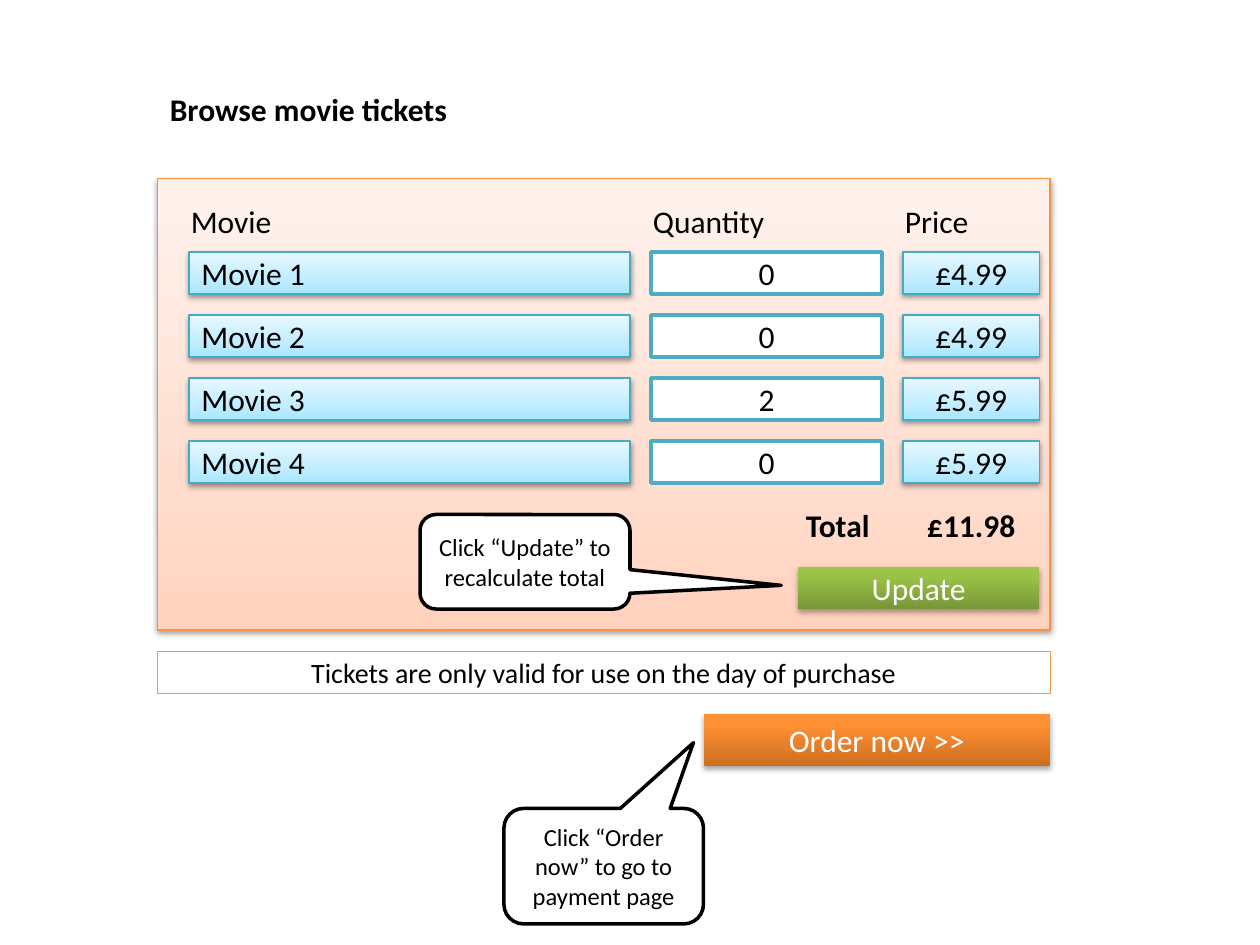
from lxml.etree import SubElement
from pptx import Presentation
from pptx.dml.color import RGBColor
from pptx.enum.shapes import MSO_SHAPE
from pptx.enum.text import MSO_ANCHOR, MSO_AUTO_SIZE, PP_ALIGN
from pptx.oxml.ns import qn
from pptx.util import Pt

BLACK = RGBColor(0, 0, 0)
WHITE = RGBColor(255, 255, 255)
ORANGE = RGBColor(0xF7, 0x96, 0x46)
PANEL_LINE = RGBColor(0xF6, 0x92, 0x40)
TEAL = RGBColor(0x4B, 0xAC, 0xC6)
CELL_LINE = RGBColor(0x46, 0xAA, 0xC5)
PEACH = [(0, RGBColor(0xFF, 0xD2, 0xBD)), (35, RGBColor(0xFF, 0xDE, 0xD0)), (100, RGBColor(0xFF, 0xF2, 0xED))]
SKY = [(0, RGBColor(0xA7, 0xE6, 0xFF)), (35, RGBColor(0xC1, 0xED, 0xFF)), (100, RGBColor(0xE7, 0xF8, 0xFF))]
GREEN = [(0, RGBColor(0x77, 0x97, 0x37)), (80, RGBColor(0x9B, 0xC3, 0x48)), (100, RGBColor(0x9D, 0xC7, 0x46))]
AMBER = [(0, RGBColor(0xCC, 0x6E, 0x20)), (80, RGBColor(0xFF, 0x90, 0x34)), (100, RGBColor(0xFF, 0x91, 0x36))]
LEFT, CENTER, RIGHT = PP_ALIGN.LEFT, PP_ALIGN.CENTER, PP_ALIGN.RIGHT


def add_gradient(sp, stops, alpha, dist):
    sp.fill.gradient()
    sp.fill.gradient_angle = 90
    gs_list = sp._element.spPr.find(qn("a:gradFill")).find(qn("a:gsLst"))
    for gs in list(gs_list):
        gs_list.remove(gs)
    for pos, color in stops:
        gs = SubElement(gs_list, qn("a:gs"), pos=str(pos * 1000))
        SubElement(gs, qn("a:srgbClr"), val=str(color))
    shadow = SubElement(sp._element.spPr.find(qn("a:effectLst")), qn("a:outerShdw"),
                        blurRad=str(Pt(3.15)), dist=str(Pt(dist)), dir="5400000", rotWithShape="0")
    color = SubElement(shadow, qn("a:srgbClr"), val="000000")
    SubElement(color, qn("a:alpha"), val=str(alpha * 1000))


def add_box(parent, text, x, y, w, h=24, shape=MSO_SHAPE.RECTANGLE, fill=None, stops=None, line=None,
            weight=0.75, size=18, color=BLACK, bold=False, align=CENTER, anchor=MSO_ANCHOR.MIDDLE, adj=()):
    frame = Pt(x), Pt(y), Pt(w), Pt(h)
    if fill is None and stops is None:
        sp = parent.shapes.add_textbox(*frame)
    else:
        sp = parent.shapes.add_shape(shape, *frame)
        sp.shadow.inherit = False
        if line is None:
            sp.line.fill.background()
        else:
            sp.line.color.rgb = line
            sp.line.width = Pt(weight)
        if stops:
            add_gradient(sp, stops, *((38, 1.6) if line else (35, 1.8)))
        else:
            sp.fill.solid()
            sp.fill.fore_color.rgb = fill
        for i, value in enumerate(adj):
            sp.adjustments[i] = value
    tf = sp.text_frame
    tf.word_wrap = True
    tf.vertical_anchor = anchor
    p = tf.paragraphs[0]
    p.alignment = align
    if text:
        r = p.add_run()
        r.text = text
        r.font.name = "Calibri"
        r.font.size = Pt(size)
        r.font.bold = bold
        r.font.color.rgb = color
    return sp


prs = Presentation()
prs.slide_width, prs.slide_height = Pt(720), Pt(540)
s = prs.slides.add_slide(prs.slide_layouts[6])

add_box(s, "Tickets are only valid for use on the day of purchase", 90, 372, 510,
        fill=WHITE, line=ORANGE, weight=0.25, size=16)

form = s.shapes.add_group_shape()
add_box(form, "", 90, 102, 510, 258, stops=PEACH, line=PANEL_LINE)
for text, x, w in [("Movie", 102, 258), ("Quantity", 366, 138), ("Price", 510, 90)]:
    add_box(form, text, x, 114, w, align=LEFT)

tickets = [("Movie 1", "0", "£4.99"), ("Movie 2", "0", "£4.99"),
           ("Movie 3", "2", "£5.99"), ("Movie 4", "0", "£5.99")]
for i, (movie, quantity, price) in enumerate(tickets):
    y = 144 + 36 * i
    add_box(form, movie, 108, y, 252, stops=SKY, line=CELL_LINE, align=LEFT)
    add_box(form, quantity, 372, y, 132, fill=WHITE, line=TEAL, weight=2)
    add_box(form, price, 516, y, 78, stops=SKY, line=CELL_LINE)

add_box(form, "Total", 372, 288, 132, bold=True, align=RIGHT)
add_box(form, "£11.98", 516, 288, 78, bold=True)
add_box(form, "Update", 456, 324, 138, stops=GREEN, color=WHITE)

add_box(s, "Order now >>", 402, 408, 198, 30, stops=AMBER, color=WHITE)
title = add_box(s, "Browse movie tickets", 90, 48, 438, 29, bold=True, align=LEFT, anchor=MSO_ANCHOR.TOP)
title.text_frame.auto_size = MSO_AUTO_SIZE.SHAPE_TO_FIT_TEXT

callouts = [("Click “Update” to recalculate total", 240, 294, 120, 54, (1.22, 0.25, 0.17)),
            ("Click “Order now” to go to payment page", 288, 462, 114, 66, (0.45, -1.07, 0.17))]
for text, x, y, w, h, adj in callouts:
    add_box(s, text, x, y, w, h, shape=MSO_SHAPE.ROUNDED_RECTANGULAR_CALLOUT,
            fill=WHITE, line=BLACK, weight=2, size=14, adj=adj)

prs.save("out.pptx")
